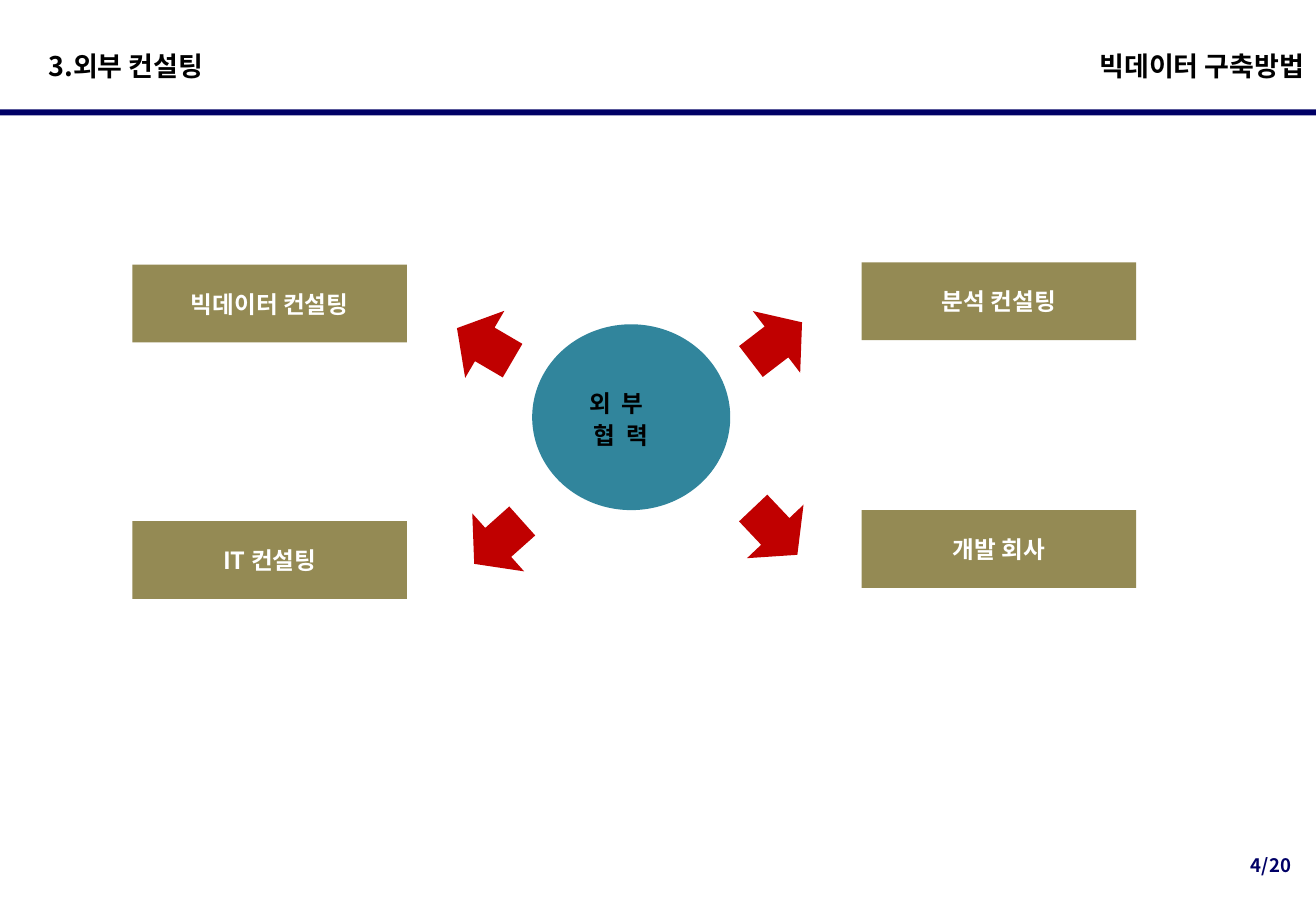
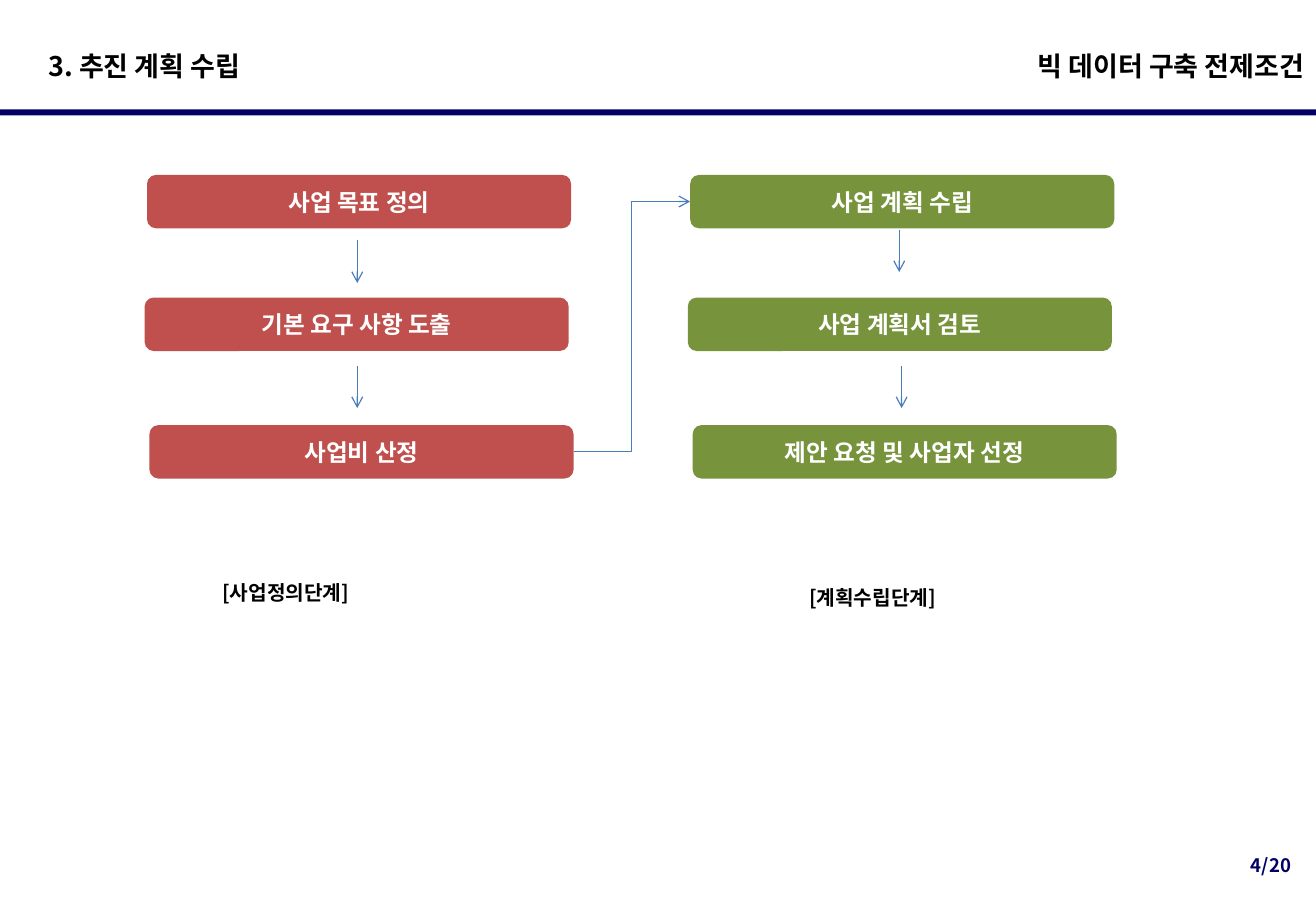
import pptx
import pptx.util
import pptx.dml.color
import pptx.enum.shapes
import pptx.enum.text
import pptx.oxml
import pptx.oxml.ns
import lxml.etree

Inches, Pt = pptx.util.Inches, pptx.util.Pt
SHAPE = pptx.enum.shapes.MSO_SHAPE
CONNECTOR = pptx.enum.shapes.MSO_CONNECTOR
ALIGN = pptx.enum.text.PP_ALIGN
ANCHOR = pptx.enum.text.MSO_ANCHOR
qn = pptx.oxml.ns.qn

WIDTH, HEIGHT = 10.83, 7.5
FONT = "Noto Sans CJK KR"
COLORS = {
    "navy": "000066", "black": "000000", "white": "FFFFFF",
    "teal": "31859C", "khaki": "948A54", "crimson": "C00000",
    "red": "C0504D", "green": "77933C", "blue": "4A7EBB",
}
PAGE_NUMBER = "4/20"

# Content of the partner slide
PARTNER_TITLES = ("3.외부 컨설팅", "빅데이터 구축방법")
PARTNER_SIZE = (2.26, 0.64)
PARTNERS = [  # text, left, top
    ("빅데이터 컨설팅", 1.09, 2.18),
    ("IT 컨설팅", 1.09, 4.29),
    ("분석 컨설팅", 7.09, 2.16),
    ("개발 회사", 7.09, 4.2),
]
HUB_LINES = ["외 부", "협 력"]
ARROW_SIZE = (0.64, 0.53)
ARROWS = [  # left, top, rotation
    (3.67, 2.57, 300.3), (6.07, 2.55, 52.5),
    (6.06, 4.11, 136.6), (3.78, 4.2, 228.2),
]

# Content of the plan slide
PLAN_TITLES = ("3. 추진 계획 수립", "빅 데이터 구축 전제조건")
STEP_SIZE = (3.49, 0.44)
STEP_ROWS = [(1.44, 0), (2.45, -0.02), (3.5, 0.02)]  # top, shift to the right
STAGES = [
    {"left": 1.21, "color": "red", "caption": ("[사업정의단계]", 1.73, 4.73),
     "steps": ["사업 목표 정의", "기본 요구 사항 도출", "사업비 산정"],
     "arrows": [(2.94, 1.98), (2.94, 3.01)]},
    {"left": 5.68, "color": "green", "caption": ("[계획수립단계]", 6.56, 4.77),
     "steps": ["사업 계획 수립", "사업 계획서 검토", "제안 요청 및 사업자 선정"],
     "arrows": [(7.4, 1.89), (7.42, 3.01)]},
]
ARROW_LENGTH = 0.35
LEFT_SITE, RIGHT_SITE = 1, 3


def rgb(name):
    return pptx.dml.color.RGBColor.from_string(COLORS[name])


def write(box, *lines, size=14, color="white", align=ALIGN.CENTER, anchor=ANCHOR.MIDDLE,
          after=0, before=0, spacing=None, wrap=True, tracking=0, step=0, left=0.1, top=0.05):
    """Fill a box with one paragraph a line; step indents each line further."""
    frame = box.text_frame
    frame.word_wrap = wrap
    frame.vertical_anchor = anchor
    frame.margin_left, frame.margin_right = Inches(left), Inches(0.1)
    frame.margin_top, frame.margin_bottom = Inches(top), Inches(0.05)
    for index, line in enumerate(lines):
        para = frame.add_paragraph() if index else frame.paragraphs[0]
        para.alignment = align
        para.space_after, para.space_before = Pt(after), Pt(before)
        if spacing:
            para.line_spacing = spacing
        if step * index:
            para._p.get_or_add_pPr().set("marL", str(Inches(step * index)))
        span = para.add_run()
        span.text = line
        span.font.name, span.font.size, span.font.bold = FONT, Pt(size), True
        span.font.color.rgb = rgb(color)
        properties = span._r.get_or_add_rPr()
        lxml.etree.SubElement(properties, qn("a:ea")).set("typeface", FONT)
        if tracking:
            properties.set("spc", str(tracking))


def add_text(page, text, left, top, width, height, **style):
    box = page.shapes.add_textbox(*map(Inches, (left, top, width, height)))
    write(box, text, **style)
    return box


def add_block(page, kind, color, left, top, width, height):
    box = page.shapes.add_shape(kind, *map(Inches, (left, top, width, height)))
    box.shadow.inherit = False
    box.fill.solid()
    box.fill.fore_color.rgb = rgb(color)
    box.line.fill.background()
    return box


def add_arrow(page, kind, start, end):
    line = page.shapes.add_connector(kind, *map(Inches, start + end))
    line.line.color.rgb = rgb("blue")
    line.line.width = Pt(0.75)
    outline = line.line._get_or_add_ln()
    lxml.etree.SubElement(outline, qn("a:tailEnd")).set("type", "arrow")
    lxml.etree.SubElement(line._element.spPr, qn("a:effectLst"))
    return line


def add_page(deck, title, topic):
    """Blank page with the shared header, band and page number."""
    page = deck.slides.add_slide(deck.slide_layouts[6])
    add_text(page, title, 0.3, 0.35, 7.5, 0.39, size=16, color="black", align=ALIGN.LEFT)
    add_block(page, SHAPE.RECTANGLE, "navy", 0, 0.9, WIDTH, 0.05)
    add_text(page, PAGE_NUMBER, 10.01, 7.02, 0.9, 0.25, size=11, color="navy",
             anchor=ANCHOR.TOP, before=6.9, spacing=0.8, wrap=False)
    add_text(page, topic, WIDTH - 2.9, 0.35, 2.9, 0.39, size=16, color="black",
             align=ALIGN.RIGHT)
    return page


def build_partners(deck):
    page = add_page(deck, *PARTNER_TITLES)
    hub = add_block(page, SHAPE.OVAL, "teal", 4.38, 2.67, 1.63, 1.53)
    write(hub, *HUB_LINES, color="black", align=ALIGN.LEFT, anchor=ANCHOR.TOP,
          after=1.8, tracking=150, step=0.04, left=0.23, top=0.31)
    for text, left, top in PARTNERS:
        box = add_block(page, SHAPE.RECTANGLE, "khaki", left, top, *PARTNER_SIZE)
        write(box, text, after=1.8)
    for left, top, rotation in ARROWS:
        arrow = add_block(page, SHAPE.UP_ARROW, "crimson", left, top, *ARROW_SIZE)
        arrow.rotation = rotation


def build_plan(deck):
    page = add_page(deck, *PLAN_TITLES)
    columns = []
    for stage in STAGES:
        boxes = []
        for text, (top, shift) in zip(stage["steps"], STEP_ROWS):
            box = add_block(page, SHAPE.ROUNDED_RECTANGLE, stage["color"],
                            stage["left"] + shift, top, *STEP_SIZE)
            write(box, text, after=1.8)
            boxes.append(box)
        columns.append(boxes)
        add_text(page, *stage["caption"], 1.35, 0.3, size=12, color="black",
                 align=ALIGN.LEFT, anchor=ANCHOR.TOP, after=1.5, wrap=False)
        for x, y in stage["arrows"]:
            add_arrow(page, CONNECTOR.STRAIGHT, (x, y), (x, y + ARROW_LENGTH))
    # The last step of the first stage leads to the first step of the second
    link = add_arrow(page, CONNECTOR.ELBOW, (4.72, 3.73), (5.68, 1.66))
    link.begin_connect(columns[0][-1], RIGHT_SITE)
    link.end_connect(columns[1][0], LEFT_SITE)


def main():
    deck = pptx.Presentation()
    deck.slide_width, deck.slide_height = Inches(WIDTH), Inches(HEIGHT)
    build_partners(deck)
    build_plan(deck)
    deck.save("out.pptx")


if __name__ == "__main__":
    main()
